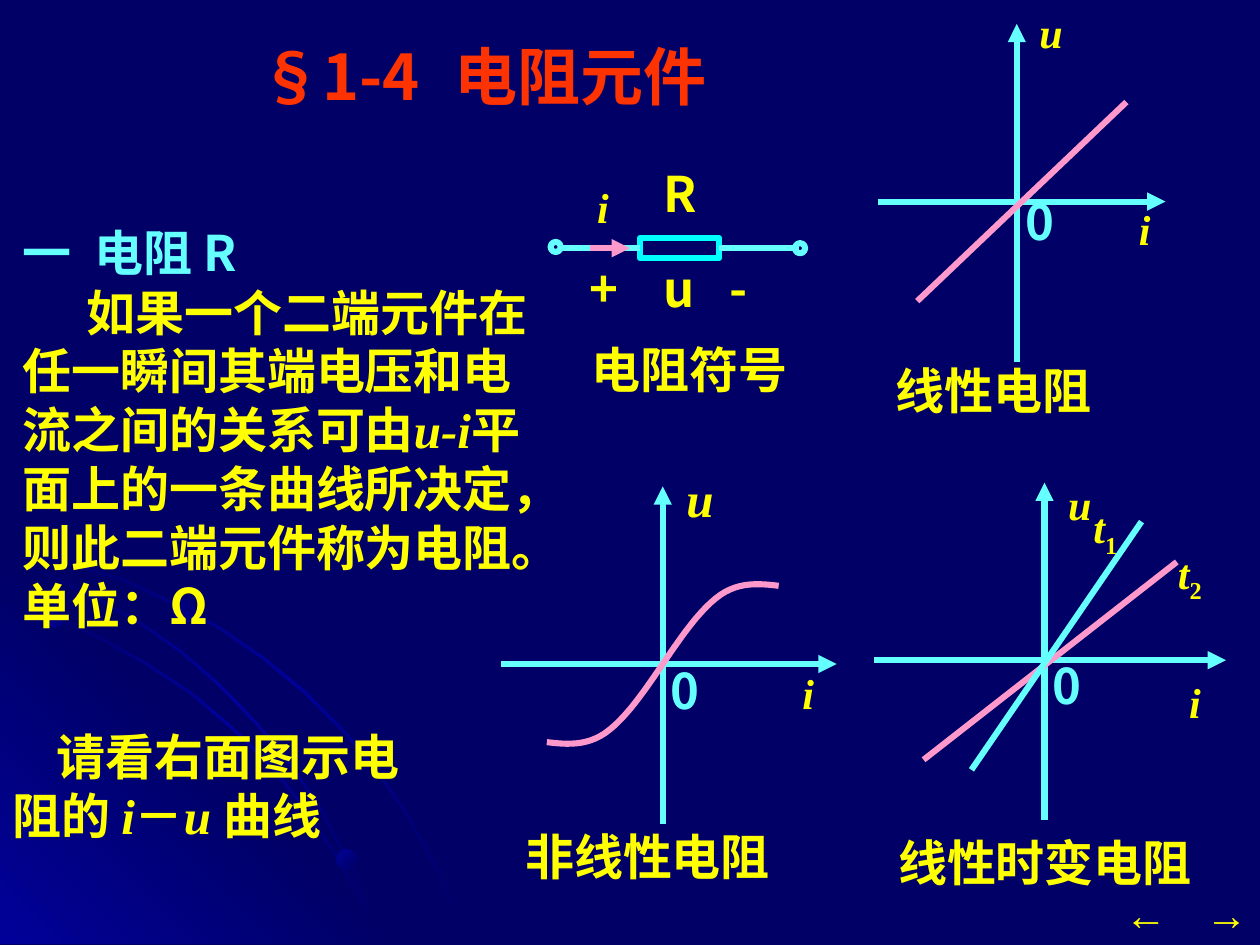
from dataclasses import dataclass

from lxml import etree
from pptx import Presentation
from pptx.dml.color import RGBColor
from pptx.enum.shapes import MSO_CONNECTOR, MSO_SHAPE
from pptx.enum.text import MSO_ANCHOR, PP_ALIGN
from pptx.oxml.ns import qn
from pptx.util import Inches, Pt

STRAIGHT = MSO_CONNECTOR.STRAIGHT
RECTANGLE, ELLIPSE = MSO_SHAPE.RECTANGLE, MSO_SHAPE.OVAL
TOP, MIDDLE = MSO_ANCHOR.TOP, MSO_ANCHOR.MIDDLE
LEFT, CENTER = PP_ALIGN.LEFT, PP_ALIGN.CENTER


@dataclass(frozen=True)
class Theme:
    navy: str = "000066"
    glow: str = "010199"
    red: str = "FF3300"
    yellow: str = "FFFF00"
    cyan: str = "66FFFF"
    aqua: str = "00FFFF"
    pink: str = "FF99CC"
    cjk: str = "Noto Sans CJK SC"
    serif: str = "Times New Roman"
    sans: str = "Arial"
    caption: str = "Roboto"
    title: int = 36
    body: int = 28
    label: int = 24
    line: float = 3.5
    leading: float = 1.2


THEME = Theme()


@dataclass(frozen=True)
class Span:
    text: str
    face: str = THEME.cjk
    italic: bool = False
    baseline: int = 0


@dataclass(frozen=True)
class Para:
    spans: tuple[Span, ...]
    indent: float = 0
    tabs: tuple[float, ...] = ()


@dataclass(frozen=True)
class Graph:
    origin: tuple[float, float]
    left: float
    right: float
    top: float
    zero_top: float
    u_at: tuple[float, float]
    i_at: tuple[float, float]
    caption: str
    caption_at: tuple[float, float]
    u_size: int = THEME.label


def symbol(text: str) -> Span:
    return Span(text, THEME.serif, True)


def add_text(page, left: float, top: float, width: float, height: float, *paras: Para,
             size: int = THEME.body, color: str = THEME.yellow, bold: bool = True,
             anchor=TOP, align=LEFT, wrap: bool = True) -> None:
    box = page.shapes.add_textbox(Inches(left), Inches(top), Inches(width), Inches(height))
    frame = box.text_frame
    frame.word_wrap, frame.vertical_anchor = wrap, anchor
    for number, content in enumerate(paras):
        para = frame.add_paragraph() if number else frame.paragraphs[0]
        para.alignment, para.line_spacing = align, Pt(size * THEME.leading)
        props = para._p.get_or_add_pPr()
        if content.indent:
            props.set("indent", str(Inches(content.indent)))
        if content.tabs:
            stops = etree.SubElement(props, qn("a:tabLst"))
            for stop in content.tabs:
                etree.SubElement(stops, qn("a:tab"), pos=str(Inches(stop)), algn="l")
        for span in content.spans:
            run = para.add_run()
            run.text = span.text
            font = run.font
            font.size, font.bold, font.italic = Pt(size), bold, span.italic
            font.color.rgb = RGBColor.from_string(color)
            font.name = span.face
            east_asian = etree.Element(qn("a:ea"), typeface=THEME.cjk)
            font._element.find(qn("a:latin")).addnext(east_asian)
            if span.baseline:
                font._element.set("baseline", str(span.baseline * 1000))


def add_line(page, start: tuple[float, float], end: tuple[float, float],
             color: str = THEME.cyan, arrow: bool = False):
    line = page.shapes.add_connector(STRAIGHT, *map(Inches, (*start, *end)))
    line.line.color.rgb = RGBColor.from_string(color)
    line.line.width = Pt(THEME.line)
    if arrow:
        etree.SubElement(line.line._get_or_add_ln(), qn("a:tailEnd"), type="triangle")
    etree.SubElement(line._element.spPr, qn("a:effectLst"))
    return line


def outline(shape, color: str) -> None:
    shape.shadow.inherit = False
    shape.fill.background()
    shape.line.color.rgb = RGBColor.from_string(color)
    shape.line.width = Pt(THEME.line)


def add_shape(page, kind, left: float, top: float, width: float, height: float):
    return page.shapes.add_shape(kind, *map(Inches, (left, top, width, height)))


def add_path(page, points: list[tuple[float, float]], closed: bool):
    corners = [(Inches(x), Inches(y)) for x, y in points]
    builder = page.shapes.build_freeform(*corners[0], scale=1.0)
    builder.add_line_segments(corners[1:], close=closed)
    return builder.convert_to_shape()


def shade(shape, angle: int, *colors: str) -> None:
    shape.shadow.inherit = False
    shape.line.fill.background()
    shape.fill.gradient()
    gradient = shape._element.spPr.find(qn("a:gradFill"))
    stops = gradient.find(qn("a:gsLst"))
    for stop in list(stops):
        stops.remove(stop)
    for number, color in enumerate(colors):
        position = 100000 * number // (len(colors) - 1)
        stop = etree.SubElement(stops, qn("a:gs"), pos=str(position))
        etree.SubElement(stop, qn("a:srgbClr"), val=color)
    gradient.find(qn("a:lin")).set("ang", str(angle * 60000))


def bezier(a, b, c, d, steps: int = 12) -> list[tuple[float, float]]:
    points = []
    for step in range(steps + 1):
        t = step / steps
        weights = ((1 - t) ** 3, 3 * t * (1 - t) ** 2, 3 * t * t * (1 - t), t ** 3)
        points.append(tuple(sum(w * p[axis] for w, p in zip(weights, (a, b, c, d)))
                            for axis in (0, 1)))
    return points


def draw_graph(page, graph: Graph) -> None:
    x, y = graph.origin
    add_line(page, (graph.left, y), (graph.right, y), arrow=True)
    add_line(page, (x, graph.top + 2.68), (x, graph.top), arrow=True)
    add_text(page, *graph.u_at, 0.8, 0.5, Para((symbol("u"),)), size=graph.u_size)
    add_text(page, *graph.i_at, 0.46, 0.5, Para((symbol("i"),)), size=THEME.label)
    add_text(page, x - 0.45, graph.zero_top, 1.26, 1.25, Para((Span("0"),)),
             color=THEME.cyan, anchor=MIDDLE, align=CENTER)
    add_text(page, *graph.caption_at, 2.8, 0.57, Para((Span(graph.caption, THEME.caption),)))


# Upper edge of each background arc, and how far its lower edge lies down and left
ARCS = [
    ([(0, 4.35), (0.57, 4.47), (0.98, 4.59), (1.36, 4.77), (1.74, 4.97), (2.09, 5.21),
      (2.42, 5.48), (2.72, 5.78), (3, 6.11), (3.25, 6.48), (3.52, 6.98), (3.72, 7.49)]),
    ([(0, 4.75), (0.41, 4.88), (0.79, 5.05), (1.17, 5.26), (1.52, 5.49), (1.84, 5.76),
      (2.15, 6.06), (2.42, 6.4), (2.66, 6.76), (2.86, 7.12), (3.03, 7.49)]),
    ([(0, 4.42), (0.39, 4.55), (0.76, 4.73), (1.11, 4.93), (1.44, 5.16), (1.75, 5.43),
      (2.04, 5.73), (2.29, 6.03), (2.54, 6.39), (2.82, 6.93), (3.03, 7.49)]),
]
DOTS = [(0.36, 4.83, 0.15, 315), (2.67, 6.74, 0.16, 45), (1.37, 4.73, 0.21, 315)]
GRAPHS = [
    Graph((5.26, 5.27), 3.98, 6.64, 3.86, 4.85, (5.35, 3.67), (6.27, 5.25),
          "非线性电阻", (4.07, 6.51), THEME.body),
    Graph((8.29, 5.24), 6.94, 9.73, 3.83, 4.81, (8.38, 3.75), (9.34, 5.32),
          "线性时变电阻", (7.03, 6.56)),
    Graph((8.07, 1.6), 6.97, 9.25, 0.19, 1.13, (8.15, 0), (8.94, 1.57),
          "线性电阻", (7.01, 2.81)),
]


def draw_background(page) -> None:
    page.background.fill.solid()
    page.background.fill.fore_color.rgb = RGBColor.from_string(THEME.navy)
    corner = add_path(page, [(3.22, 7.49), (0, 7.49), (0, 4.27)], True)
    shade(corner, 315, THEME.glow, THEME.navy, THEME.glow)
    for edge in ARCS:
        lower = [(max(x - 0.01, 0), min(y + 0.02, 7.49)) for x, y in reversed(edge)]
        shade(add_path(page, edge + lower, True), 45, THEME.navy, THEME.glow, THEME.navy)
    for left, top, size, angle in DOTS:
        shade(add_shape(page, ELLIPSE, left, top, size, size), angle, THEME.glow, THEME.navy)


def draw_resistor(page) -> None:
    body = add_shape(page, RECTANGLE, 5.08, 1.89, 0.63, 0.16)
    outline(body, THEME.aqua)
    add_line(page, (4.45, 1.97), (5.08, 1.97)).end_connect(body, 1)
    add_line(page, (5.71, 1.97), (6.34, 1.97)).begin_connect(body, 3)
    for left, top in ((4.37, 1.92), (6.31, 1.93)):
        outline(add_shape(page, ELLIPSE, left, top, 0.08, 0.08), THEME.cyan)
    add_line(page, (4.68, 1.97), (5, 1.97), THEME.pink, arrow=True)
    add_text(page, 4.64, 1.39, 0.39, 0.5, Para((symbol("i"),)), size=THEME.label)
    add_text(page, 4.53, 0.91, 1.73, 1.25, Para((Span("R"),)), anchor=MIDDLE, align=CENTER)
    add_text(page, 4.58, 1.78, 1.9, 1.01, Para((Span("+\tu\t-"),), tabs=(0.59, 1.11)),
             anchor=MIDDLE)
    add_text(page, 4.29, 2.42, 2.36, 1.01, Para((Span("电阻符号"),)),
             anchor=MIDDLE, align=CENTER)


def draw_curves(page) -> None:
    # S-shaped curve: the lower half is the upper one turned about the origin
    x, y = GRAPHS[0].origin
    half = (bezier((0, 0), (0.15, -0.22), (0.3, -0.44), (0.46, -0.55))
            + bezier((0.46, -0.55), (0.61, -0.65), (0.76, -0.64), (0.92, -0.62))[1:])
    for sign in (1, -1):
        curve = add_path(page, [(x + sign * dx, y + sign * dy) for dx, dy in half], False)
        outline(curve, THEME.pink)
    # Straight characteristics
    add_line(page, (7.33, 6.03), (9.34, 4.46), THEME.pink)
    add_line(page, (7.71, 6.11), (9.06, 4.14))
    add_line(page, (7.28, 2.39), (8.94, 0.81), THEME.pink)
    for left, top, index in ((8.58, 3.99, "1"), (9.25, 4.35, "2")):
        time = Para((symbol("t"), Span(index, THEME.serif, baseline=-25)))
        add_text(page, left, top, 0.67, 0.56, time, size=THEME.label)


def main() -> None:
    deck = Presentation()
    deck.slide_width, deck.slide_height = Inches(10), Inches(7.5)
    page = deck.slides.add_slide(deck.slide_layouts[6])
    draw_background(page)
    # Title and explanation
    add_text(page, 1.96, -0.03, 4.47, 1.25, Para((Span("§1-4\t电阻元件"),), tabs=(1.55,)),
             size=THEME.title, color=THEME.red, anchor=MIDDLE)
    add_text(page, 0.08, 1.72, 4.29, 0.57, Para((Span("一\t电阻 R"),), tabs=(0.57,)),
             color=THEME.cyan)
    add_text(page, 0.08, 2.19, 4.29, 2.9, Para((
        Span("如果一个二端元件在任一瞬间其端电压和电流之间的关系可由"), symbol("u-i"),
        Span("平面上的一条曲线所决定，则此二端元件称为电阻。单位：Ω")), indent=0.51))
    add_text(page, 0, 5.72, 5.5, 1.04, Para((Span("请看右面图示电"),), indent=0.35),
             Para((Span("阻的 "), symbol("i"), Span("－"), symbol("u "), Span("曲线"))))
    # Circuit symbol and characteristic graphs
    draw_resistor(page)
    for graph in GRAPHS:
        draw_graph(page, graph)
    draw_curves(page)
    # Page arrows
    for left, arrow in ((8.83, "←"), (9.47, "→")):
        add_text(page, left, 7, 0.53, 0.5, Para((Span(arrow, THEME.sans),)),
                 size=THEME.label, bold=False, wrap=False)
    deck.save("out.pptx")


if __name__ == "__main__":
    main()
